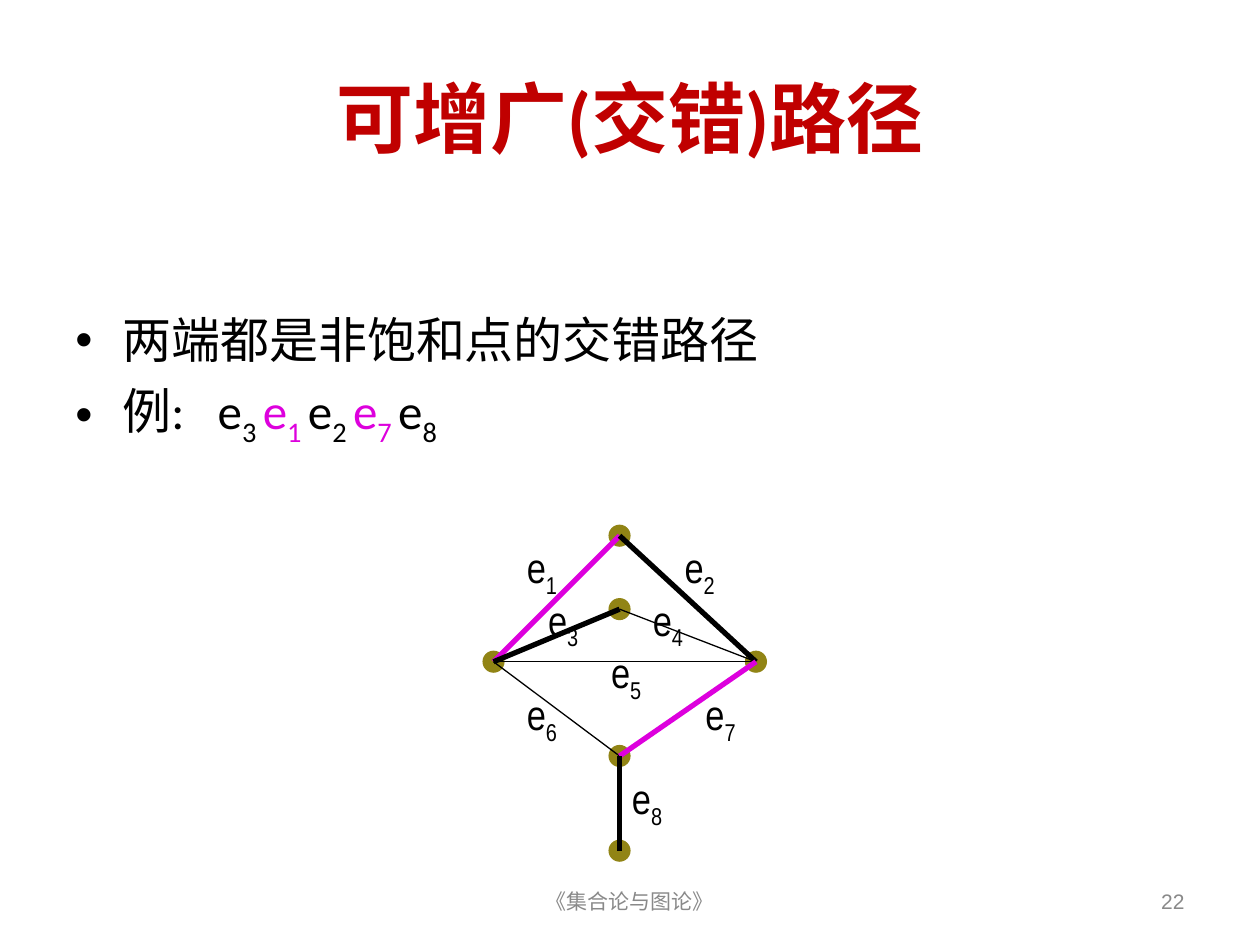
import pptx
import pptx.util
import pptx.dml.color
import pptx.enum.shapes
import pptx.enum.text
import pptx.oxml
import pptx.oxml.ns

Cm, Pt = pptx.util.Cm, pptx.util.Pt
RGBColor = pptx.dml.color.RGBColor
ALIGN = pptx.enum.text.PP_ALIGN
ANCHOR = pptx.enum.text.MSO_ANCHOR

RED = RGBColor(0xC0, 0x00, 0x00)
BLACK = RGBColor(0x00, 0x00, 0x00)
MAGENTA = RGBColor(0xDD, 0x00, 0xDD)
OLIVE = RGBColor(0x91, 0x84, 0x15)
GRAY = RGBColor(0x89, 0x89, 0x89)

prs = pptx.Presentation()
prs.slide_width, prs.slide_height = Cm(25.4), Cm(19.05)
s = prs.slides.add_slide(prs.slide_layouts[6])


def add_text_frame(x, y, w, h, anchor=ANCHOR.TOP):
    tf = s.shapes.add_textbox(Cm(x), Cm(y), Cm(w), Cm(h)).text_frame
    tf.word_wrap = True
    tf.vertical_anchor = anchor
    return tf


def add_run(p, text, size, font, color, bold=None, subscript=False):
    r = p.add_run()
    r.text = text
    for name, value in {"size": Pt(size), "name": font, "bold": bold}.items():
        setattr(r.font, name, value)
    r.font.color.rgb = color
    if subscript:
        r.font._element.set("baseline", "-25000")


# Title and footer
for text, box, align, size, font, color, bold in [
    ("可增广(交错)路径", (1.27, 0.76, 22.86, 3.18), ALIGN.CENTER, 44, "Calibri", RED, True),
    ("《集合论与图论》", (8.68, 17.66, 8.04, 1.01), ALIGN.CENTER, 12, "Arial", GRAY, None),
    ("22", (18.2, 17.66, 5.93, 1.01), ALIGN.RIGHT, 12, "Arial", GRAY, None),
]:
    p = add_text_frame(*box, ANCHOR.MIDDLE).paragraphs[0]
    p.alignment = align
    add_run(p, text, size, font, color, bold)

# Bullets: each run is text, colour, subscript
example = [("例:   ", BLACK, False)]
for edge, color in [("3 ", BLACK), ("1 ", MAGENTA), ("2 ", BLACK), ("7 ", MAGENTA), ("8", BLACK)]:
    example += [("e", color, False), (edge, color, True)]

tf = add_text_frame(1.27, 6.12, 22.86, 10.39)
for i, runs in enumerate([[("两端都是非饱和点的交错路径", BLACK, False)], example]):
    p = tf.add_paragraph() if i else tf.paragraphs[0]
    p.space_before = Pt(7)
    pPr = p._p.get_or_add_pPr()
    pPr.set("marL", str(Cm(0.95)))
    pPr.set("indent", str(-Cm(0.95)))
    for xml in ('<a:buFont %s typeface="Arial"/>', '<a:buChar %s char="•"/>'):
        pPr.append(pptx.oxml.parse_xml(xml % pptx.oxml.ns.nsdecls("a")))
    for text, color, subscript in runs:
        add_run(p, text, 28, "Calibri", color, subscript=subscript)

# Graph vertices, by centre
vertices = {
    "top": (12.49, 10.8),
    "inner": (12.49, 12.28),
    "left": (9.95, 13.34),
    "right": (15.24, 13.34),
    "lower": (12.49, 15.24),
    "bottom": (12.49, 17.15),
}
DIAMETER = 0.42
for x, y in vertices.values():
    sp = s.shapes.add_shape(pptx.enum.shapes.MSO_SHAPE.OVAL, Cm(x - DIAMETER / 2),
                            Cm(y - DIAMETER / 2), Cm(DIAMETER), Cm(DIAMETER))
    sp.shadow.inherit = False
    sp.fill.solid()
    sp.fill.fore_color.rgb = OLIVE
    sp.line.color.rgb = OLIVE
    sp.line.width = Pt(0.75)

# Graph edges: number, ends, colour, width, label corner
THIN, THICK = 0.75, 3
edges = [
    ("1", "left", "top", MAGENTA, THICK, (10.37, 10.8)),
    ("2", "right", "top", BLACK, THICK, (13.55, 10.8)),
    ("3", "left", "inner", BLACK, THICK, (10.8, 11.85)),
    ("4", "right", "inner", BLACK, THIN, (12.91, 11.85)),
    ("5", "left", "right", BLACK, THIN, (12.07, 12.91)),
    ("6", "lower", "left", BLACK, THIN, (10.37, 13.76)),
    ("7", "lower", "right", MAGENTA, THICK, (13.97, 13.76)),
    ("8", "lower", "bottom", BLACK, THICK, (12.49, 15.45)),
]
for number, start, end, color, width, corner in edges:
    ends = [Cm(v) for v in vertices[start] + vertices[end]]
    line = s.shapes.add_connector(pptx.enum.shapes.MSO_CONNECTOR.STRAIGHT, *ends)
    line.line.color.rgb = color
    line.line.width = Pt(width)
    line._element.spPr.append(
        pptx.oxml.parse_xml("<a:effectLst %s/>" % pptx.oxml.ns.nsdecls("a")))

for number, start, end, color, width, corner in edges:
    tf = add_text_frame(*corner, 1.27, 1.42)
    tf.auto_size = pptx.enum.text.MSO_AUTO_SIZE.SHAPE_TO_FIT_TEXT
    p = tf.paragraphs[0]
    p.space_before = Pt(15)
    add_run(p, "e", 24, "Arial Narrow", BLACK)
    add_run(p, number, 24, "Arial Narrow", BLACK, subscript=True)

prs.save("out.pptx")
